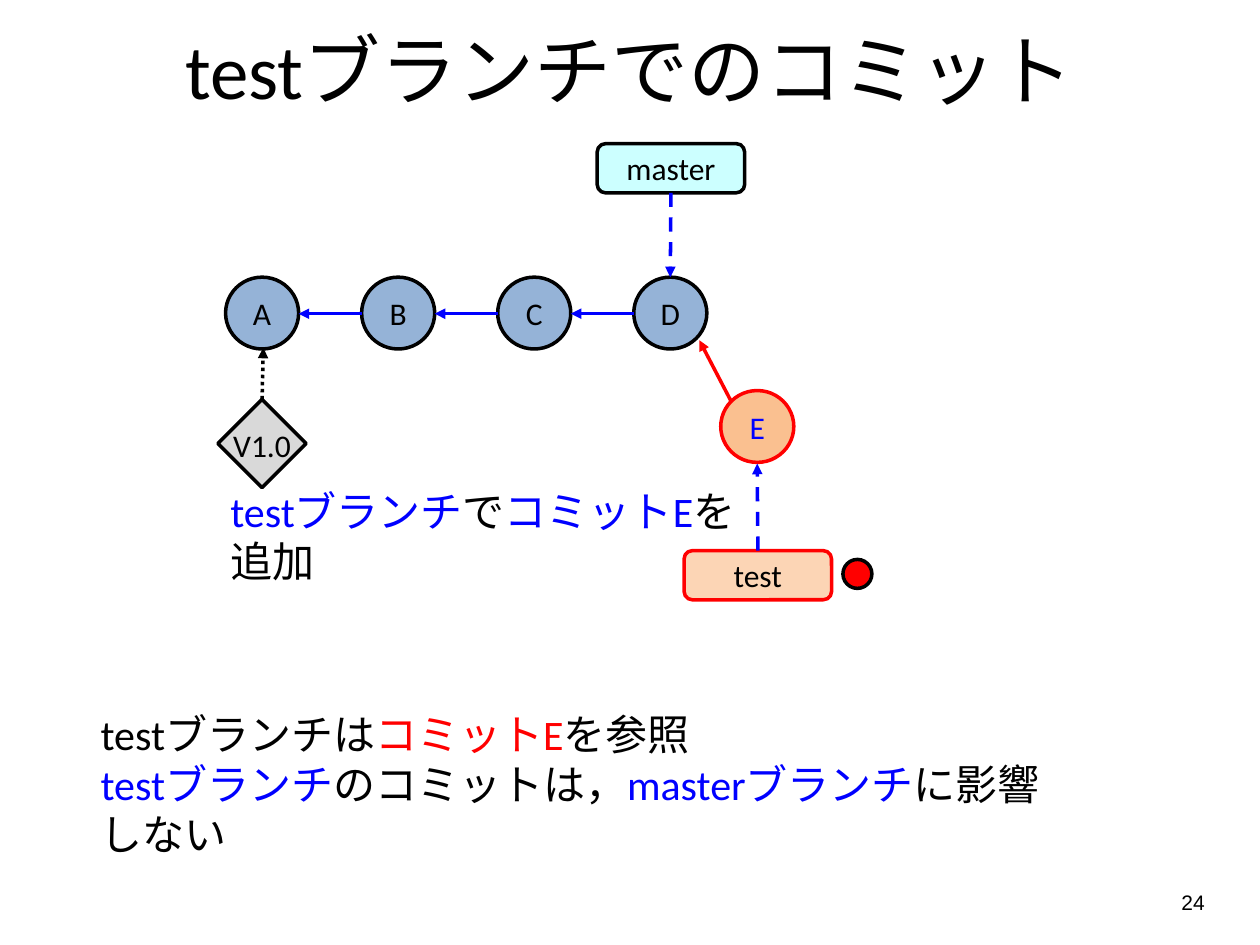
from dataclasses import dataclass

import lxml.etree
import pptx
import pptx.dml.color
import pptx.enum.dml
import pptx.enum.shapes
import pptx.enum.text
import pptx.oxml.ns
import pptx.util

Inches = pptx.util.Inches
Shape = pptx.enum.shapes.MSO_SHAPE
Align = pptx.enum.text.PP_ALIGN
Anchor = pptx.enum.text.MSO_ANCHOR
Dash = pptx.enum.dml.MSO_LINE


@dataclass(frozen=True)
class Theme:
    """Colours, fonts and sizes of the deck."""
    black: str = "000000"
    blue: str = "0000FF"
    red: str = "FF0000"
    commit: str = "95B3D7"
    new_commit: str = "FAC090"
    master: str = "CCFFFF"
    test: str = "FCD5B5"
    tag: str = "D9D9D9"
    font: str = "Calibri"
    number_font: str = "Arial"
    title_size: int = 44
    body_size: int = 24
    label_size: int = 18
    number_size: int = 12
    line_width: int = 2


class Painter:
    """Draws styled elements on one slide."""

    def __init__(self, page, theme):
        self.page = page
        self.theme = theme

    def color(self, value):
        """Turn a hex string into a colour."""
        return pptx.dml.color.RGBColor.from_string(value)

    def fill_text(self, shape, paragraphs, size, align=Align.LEFT, anchor=Anchor.TOP, wrap=True, font=None):
        """Fill a shape with paragraphs of (text, colour) spans."""
        frame = shape.text_frame
        for name, value in {"word_wrap": wrap, "vertical_anchor": anchor}.items():
            setattr(frame, name, value)
        for index, spans in enumerate(paragraphs):
            para = frame.add_paragraph() if index else frame.paragraphs[0]
            para.alignment = align
            for text, color in spans:
                span = para.add_run()
                span.text = text
                formats = {"size": pptx.util.Pt(size), "name": font or self.theme.font}
                for name, value in formats.items():
                    setattr(span.font, name, value)
                span.font.color.rgb = self.color(color)

    def text(self, left, top, width, height, paragraphs, size, **layout):
        """Add a text box."""
        box = self.page.shapes.add_textbox(*map(Inches, (left, top, width, height)))
        self.fill_text(box, paragraphs, size, **layout)

    def shape(self, kind, left, top, width, height, fill, line, label="", label_color=None):
        """Add an outlined shape with an optional centred label."""
        shape = self.page.shapes.add_shape(kind, *map(Inches, (left, top, width, height)))
        shape.shadow.inherit = False
        shape.fill.solid()
        shape.fill.fore_color.rgb = self.color(fill)
        shape.line.color.rgb = self.color(line)
        shape.line.width = pptx.util.Pt(self.theme.line_width)
        if label:
            self.fill_text(shape, [[(label, label_color or self.theme.black)]], self.theme.label_size,
                           align=Align.CENTER, anchor=Anchor.MIDDLE, wrap=False)
        return shape

    def commit(self, left, top, label, fill, line, label_color=None):
        """Add a round commit node."""
        self.shape(Shape.OVAL, left, top, 0.58, 0.57, fill, line, label, label_color)

    def branch(self, left, top, label, fill, line):
        """Add a branch label."""
        return self.shape(Shape.ROUNDED_RECTANGLE, left, top, 1.17, 0.39, fill, line, label)

    def arrow(self, start, end, color, dash=None, source=None, site=0):
        """Add an arrow that points at its end, joined to a source if given."""
        arrow = self.page.shapes.add_connector(
            pptx.enum.shapes.MSO_CONNECTOR.STRAIGHT, *map(Inches, start + end))
        if source is not None:
            arrow.begin_connect(source, site)
        arrow.line.color.rgb = self.color(color)
        for name, value in {"width": pptx.util.Pt(self.theme.line_width), "dash_style": dash}.items():
            setattr(arrow.line, name, value)
        qn = pptx.oxml.ns.qn
        properties = arrow.element.spPr
        lxml.etree.SubElement(properties.find(qn("a:ln")), qn("a:tailEnd"), type="triangle")
        lxml.etree.SubElement(properties, qn("a:effectLst"))


def main():
    """Build the slide about committing on the test branch."""
    deck = pptx.Presentation()
    deck.slide_width, deck.slide_height = Inches(10), Inches(7.5)
    theme = Theme()
    painter = Painter(deck.slides.add_slide(deck.slide_layouts[6]), theme)
    black, blue, red = theme.black, theme.blue, theme.red

    painter.text(0, -0.08, 10, 1.25, [[("testブランチでのコミット", black)]], theme.title_size,
                 align=Align.CENTER, anchor=Anchor.MIDDLE)

    first_left, step, row_middle = 1.79, 1.08, 2.49
    for index, label in enumerate("ABCD"):
        left = first_left + index * step
        painter.commit(left, 2.2, label, theme.commit, black)
        if index:
            painter.arrow((left, row_middle), (left - step + 0.58, row_middle), blue)

    painter.commit(5.72, 3.1, "E", theme.new_commit, red, blue)
    painter.arrow((5.8, 3.18), (5.55, 2.7), red)

    master = painter.branch(4.74, 1.14, "master", theme.master, black)
    painter.arrow((5.32, 1.53), (5.32, 2.2), blue, Dash.DASH, master, 2)
    test = painter.branch(5.43, 4.37, "test", theme.test, red)
    painter.arrow((6.01, 4.37), (6.01, 3.68), blue, Dash.DASH, test, 0)
    painter.shape(Shape.OVAL, 6.69, 4.44, 0.23, 0.23, red, black)

    painter.shape(Shape.DIAMOND, 1.73, 3.17, 0.7, 0.7, theme.tag, black)
    painter.text(1.73, 3.33, 0.7, 0.4, [[("V1.0", black)]], theme.label_size, align=Align.CENTER)
    painter.arrow((2.08, 3.17), (2.09, 2.76), black, Dash.ROUND_DOT)

    painter.text(1.73, 3.8, 4.3, 0.51, [
        [("testブランチ", blue), ("で", black), ("コミットE", blue), ("を追加", black)],
    ], theme.body_size)
    painter.text(0.7, 5.57, 7.76, 0.91, [
        [("testブランチは", black), ("コミットE", red), ("を参照", black)],
        [("testブランチ", blue), ("のコミットは，", black),
         ("masterブランチ", blue), ("に影響しない", black)],
    ], theme.body_size)
    painter.text(7.33, 6.9, 2.33, 0.52, [[("24", black)]], theme.number_size,
                 align=Align.RIGHT, anchor=Anchor.MIDDLE, font=theme.number_font)

    deck.save("out.pptx")


if __name__ == "__main__":
    main()
